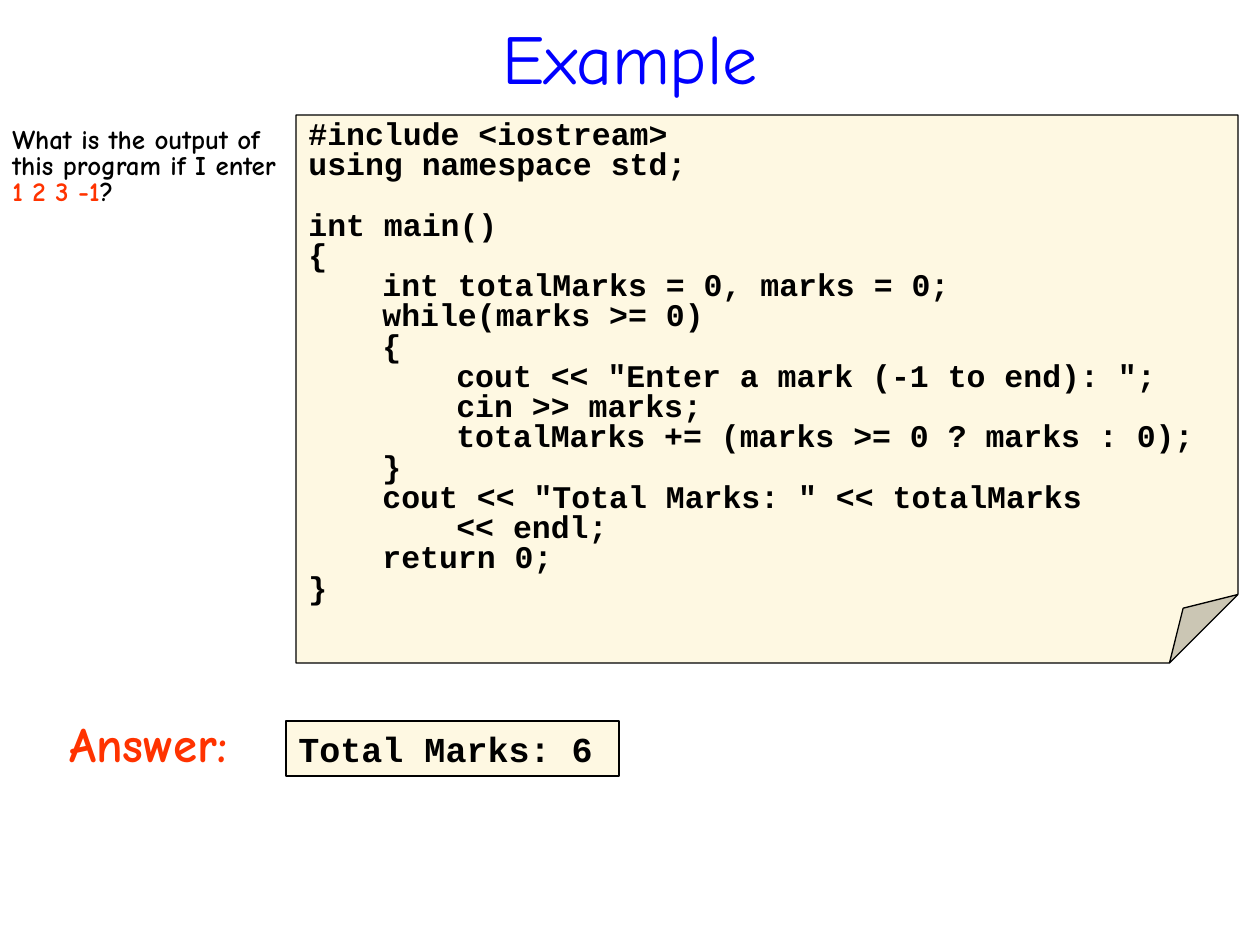
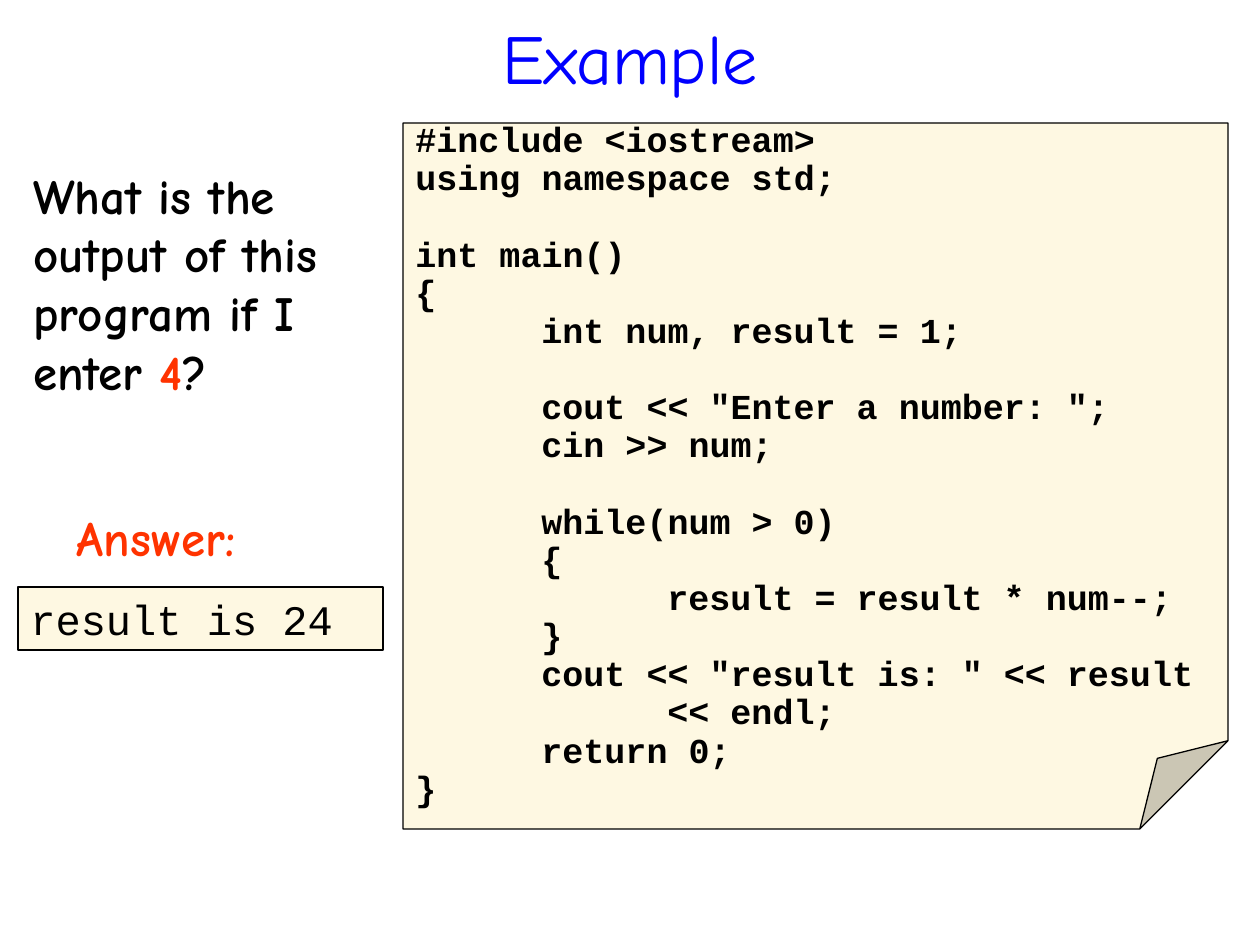
"""Build two slides that ask for the output of a short C++ program."""
from lxml.etree import SubElement
from pptx import Presentation
from pptx.dml.color import RGBColor
from pptx.enum.shapes import MSO_SHAPE as SHAPE
from pptx.enum.text import MSO_ANCHOR as ANCHOR, MSO_AUTO_SIZE as FIT, PP_ALIGN as ALIGN
from pptx.oxml.ns import qn
from pptx.util import Emu, Pt

PX = 914400 / 126
BLACK = RGBColor(0x00, 0x00, 0x00)
BLUE = RGBColor(0x00, 0x00, 0xFF)
RED = RGBColor(0xFF, 0x33, 0x00)
CREAM = RGBColor(0xFE, 0xF8, 0xE2)
SANS, MONO = "Comic Neue", "Courier New"
LINE_HEIGHT = 1.2
TITLE_BOX = (63, 20, 1134, 74)

MARKS_CODE = """\
#include <iostream>
using namespace std;

int main()
{
	int totalMarks = 0, marks = 0;
	while(marks >= 0)
	{
		cout << "Enter a mark (-1 to end): ";
		cin >> marks;
		totalMarks += (marks >= 0 ? marks : 0);
	}
	cout << "Total Marks: " << totalMarks
		<< endl;
	return 0;
}"""

RESULT_CODE = """\
#include <iostream>
using namespace std;

int main()
{
	int num, result = 1;

	cout << "Enter a number: ";
	cin >> num;

	while(num > 0)
	{
		result = result * num--;
	}
	cout << "result is: " << result
		<< endl;
	return 0;
}"""

SLIDES = [
    dict(
        title="Example",
        code=dict(text=MARKS_CODE, box=(296, 115, 942, 548), size=18,
                  spacing=0.8, before=0, tab=74),
        question=dict(box=(0, 123, 290, 126), size=15.4, spacing=0.8, lines=[
            [("What is the output of this program if I enter", BLACK)],
            [("1 2 3 -1", RED), ("?", BLACK)]]),
        label=dict(text="Answer:", box=(44, 707, 197, 72)),
        answer=dict(text="Total Marks: 6", box=(286, 721, 333, 55), size=20, bold=True),
    ),
    dict(
        title="Example",
        code=dict(text=RESULT_CODE, box=(403, 123, 825, 706), size=20,
                  spacing=0.7, before=5, tab=126),
        question=dict(box=(21, 159, 378, 265), size=28, spacing=1.0, lines=[
            [("What is the output of this program if I enter ", BLACK),
             ("4", RED), ("?", BLACK)]]),
        label=dict(text="Answer:", box=(52, 501, 197, 72)),
        answer=dict(text="result is 24", box=(18, 587, 365, 63), size=24, bold=False),
    ),
]


def px(n):
    return Emu(round(n * PX))


def add_run(p, text, size, font, color, bold):
    r = p.add_run()
    r.text = text
    r.font.size, r.font.name, r.font.bold = Pt(size), font, bold
    r.font.color.rgb = color


def next_paragraph(tf):
    p = tf.paragraphs[0]
    return tf.add_paragraph() if p.runs else p


def set_tabs(p, step):
    tabs = SubElement(p._p.get_or_add_pPr(), qn("a:tabLst"))
    for i in range(1, 4):
        SubElement(tabs, qn("a:tab"), pos=str(px(step * i)), algn="l")


def set_fold(sp, share):
    guides = next(sp._element.iter(qn("a:avLst")))
    SubElement(guides, qn("a:gd"), name="adj", fmla=f"val {round(share * 100000)}")


def add_title(s, text):
    sp = s.shapes.title
    sp.left, sp.top, sp.width, sp.height = map(px, TITLE_BOX)
    tf = sp.text_frame
    tf.auto_size, tf.vertical_anchor = FIT.NONE, ANCHOR.MIDDLE
    p = tf.paragraphs[0]
    p.alignment = ALIGN.CENTER
    add_run(p, text, 40, SANS, BLUE, False)


def add_panel(s, kind, box):
    sp = s.shapes.add_shape(kind, *map(px, box))
    sp.shadow.inherit = False
    sp.fill.solid()
    sp.fill.fore_color.rgb = CREAM
    sp.line.color.rgb = BLACK
    sp.line.width = Pt(0.75)
    tf = sp.text_frame
    tf.word_wrap, tf.vertical_anchor = True, ANCHOR.TOP
    tf.paragraphs[0].alignment = ALIGN.LEFT
    return sp


def add_code(s, text, box, size, spacing, before, tab):
    sp = add_panel(s, SHAPE.FOLDED_CORNER, box)
    set_fold(sp, 0.125)
    gap = before
    for line in text.splitlines():
        if not line:
            gap += size * LINE_HEIGHT * spacing + before
            continue
        p = next_paragraph(sp.text_frame)
        p.alignment = ALIGN.LEFT
        p.line_spacing, p.space_before = spacing, Pt(gap)
        set_tabs(p, tab)
        add_run(p, line, size, MONO, BLACK, True)
        gap = before


def add_question(s, box, size, spacing, lines):
    tf = s.shapes.add_textbox(*map(px, box)).text_frame
    tf.word_wrap = True
    for line in lines:
        p = next_paragraph(tf)
        p.line_spacing = spacing
        for text, color in line:
            add_run(p, text, size, SANS, color, True)


def add_label(s, text, box):
    tf = s.shapes.add_textbox(*map(px, box)).text_frame
    tf.word_wrap, tf.auto_size = False, FIT.SHAPE_TO_FIT_TEXT
    tf.margin_left = px(25)
    add_run(tf.paragraphs[0], text, 28, SANS, RED, True)


def add_answer(s, text, box, size, bold):
    tf = add_panel(s, SHAPE.RECTANGLE, box).text_frame
    tf.auto_size = FIT.SHAPE_TO_FIT_TEXT
    add_run(tf.paragraphs[0], text, size, MONO, BLACK, bold)


def main():
    prs = Presentation()
    prs.slide_width, prs.slide_height = px(1260), px(945)
    for content in SLIDES:
        s = prs.slides.add_slide(prs.slide_layouts[5])
        add_title(s, content["title"])
        add_code(s, **content["code"])
        add_question(s, **content["question"])
        add_answer(s, **content["answer"])
        add_label(s, **content["label"])
    prs.save("out.pptx")


if __name__ == "__main__":
    main()
